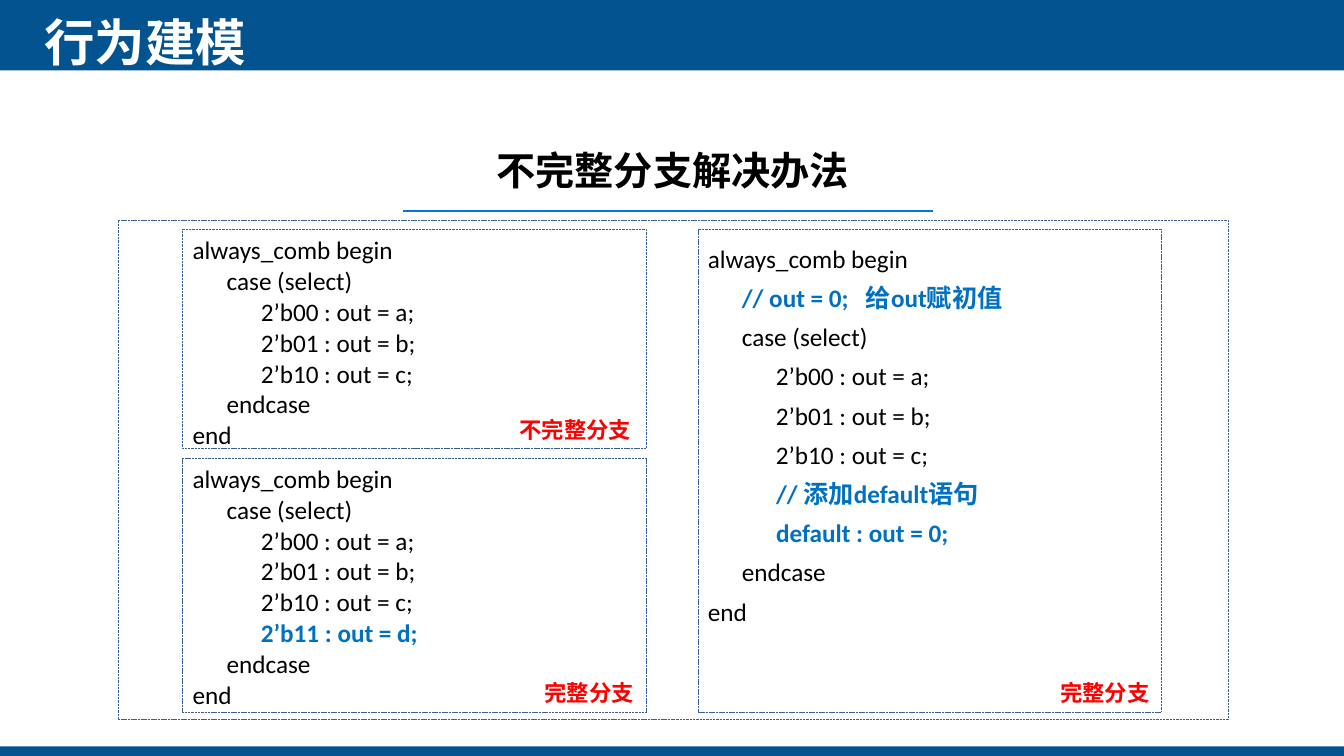
"""Build the slide on fixing incomplete branches in behavioural modelling."""
from dataclasses import dataclass
from typing import Any, NamedTuple

from lxml.etree import SubElement
from pptx import Presentation
from pptx.dml.color import RGBColor
from pptx.enum.dml import MSO_LINE
from pptx.enum.shapes import MSO_CONNECTOR, MSO_SHAPE
from pptx.enum.text import MSO_ANCHOR, MSO_AUTO_SIZE, PP_ALIGN
from pptx.oxml.ns import qn
from pptx.util import Pt


@dataclass(frozen=True)
class Theme:
    bar: str = "035390"
    rule: str = "0075EA"
    outline: str = "3A5F8C"
    text: str = "000000"
    accent: str = "0070C0"
    warning: str = "FF0000"
    white: str = "FFFFFF"
    latin: str = "Calibri"
    chinese: str = "Noto Sans CJK SC"
    title_size: float = 36
    heading_size: float = 28
    code_size: float = 18
    tag_size: float = 16


class Rect(NamedTuple):
    left: float
    top: float
    width: float
    height: float


class CodeLine(NamedTuple):
    level: int
    text: str
    marked: bool = False


class CodePanel(NamedTuple):
    rect: Rect
    line_pitch: float
    lines: list[CodeLine]


class Label(NamedTuple):
    rect: Rect
    text: str
    size: float
    color: str


THEME = Theme()
INDENT = " " * 6
LEFT_COLUMN, RIGHT_COLUMN, PANEL_WIDTH = 130.5, 498.5, 331.2
TAG_TOP, TAG_HEIGHT = 481.7, 26.6

OPENING = [CodeLine(0, "always_comb begin")]
CASES = [CodeLine(1, "case (select)")] + [
    CodeLine(2, f"2’b{index:02b} : out = {name};") for index, name in enumerate("abc")
]
CLOSING = [CodeLine(1, "endcase"), CodeLine(0, "end")]

BARS = [Rect(0, -2.2, 960, 52.6), Rect(0, 533.2, 960, 7.2)]
FRAME = Rect(84.5, 157.2, 792.6, 356.2)
PANELS = [
    CodePanel(
        Rect(LEFT_COLUMN, 327, PANEL_WIDTH, 182), 22,
        OPENING + CASES + [CodeLine(2, "2’b11 : out = d;", True)] + CLOSING,
    ),
    CodePanel(Rect(LEFT_COLUMN, 163.7, PANEL_WIDTH, 156.7), 22, OPENING + CASES + CLOSING),
    CodePanel(
        Rect(RIGHT_COLUMN, 163.7, PANEL_WIDTH, 345), 28,
        OPENING
        + [CodeLine(1, "// out = 0;   给out赋初值", True)]
        + CASES
        + [CodeLine(2, "// 添加default语句", True), CodeLine(2, "default : out = 0;", True)]
        + CLOSING,
    ),
]
LABELS = [
    Label(Rect(268.5, 101, 424, 41.2), "不完整分支解决办法", THEME.heading_size, THEME.text),
    Label(Rect(380, TAG_TOP, 81.5, TAG_HEIGHT), "完整分支", THEME.tag_size, THEME.warning),
    Label(Rect(360.5, 293.6, 101, TAG_HEIGHT), "不完整分支", THEME.tag_size, THEME.warning),
    Label(Rect(748.5, TAG_TOP, 81.5, TAG_HEIGHT), "完整分支", THEME.tag_size, THEME.warning),
]


def apply(target: Any, values: dict[str, Any]) -> None:
    """Set each named attribute on the target."""
    for name, value in values.items():
        setattr(target, name, value)


def points(rect: Rect) -> list[Pt]:
    """Turn a rectangle into lengths."""
    return [Pt(value) for value in rect]


def add_span(
    para: Any, text: str, size: float, color: str, bold: bool = False, latin: str = THEME.latin
) -> None:
    """Append a formatted run to a paragraph."""
    span = para.add_run()
    span.text = text
    apply(span.font, {"size": Pt(size), "bold": bold, "name": latin})
    span.font.color.rgb = RGBColor.from_string(color)
    SubElement(span.font._element, qn("a:ea"), typeface=THEME.chinese)


def add_bar(page: Any, rect: Rect) -> None:
    """Draw a solid bar behind everything else."""
    bar = page.shapes.add_shape(MSO_SHAPE.RECTANGLE, *points(rect))
    bar.shadow.inherit = False
    bar.fill.solid()
    bar.fill.fore_color.rgb = RGBColor.from_string(THEME.bar)
    bar.line.fill.background()
    page.shapes._spTree.insert(2, bar._element)


def add_outline(page: Any, rect: Rect) -> Any:
    """Draw an unfilled box with a fine dashed border."""
    box = page.shapes.add_shape(MSO_SHAPE.RECTANGLE, *points(rect))
    box.shadow.inherit = False
    box.fill.background()
    box.line.color.rgb = RGBColor.from_string(THEME.outline)
    apply(box.line, {"width": Pt(0.25), "dash_style": MSO_LINE.SQUARE_DOT})
    return box


def add_panel(page: Any, panel: CodePanel) -> None:
    """Draw a code listing inside an outlined box."""
    frame = add_outline(page, panel.rect).text_frame
    apply(frame, {"word_wrap": True, "vertical_anchor": MSO_ANCHOR.TOP})
    for number, line in enumerate(panel.lines):
        para = frame.add_paragraph() if number else frame.paragraphs[0]
        apply(para, {"alignment": PP_ALIGN.JUSTIFY, "line_spacing": Pt(panel.line_pitch)})
        if line.level:
            add_span(para, INDENT * line.level, THEME.code_size, THEME.text)
        color = THEME.accent if line.marked else THEME.text
        add_span(para, line.text, THEME.code_size, color, line.marked)


def add_label(page: Any, label: Label) -> None:
    """Place a bold centred caption."""
    frame = page.shapes.add_textbox(*points(label.rect)).text_frame
    apply(frame, {"word_wrap": True, "auto_size": MSO_AUTO_SIZE.SHAPE_TO_FIT_TEXT})
    para = frame.paragraphs[0]
    para.alignment = PP_ALIGN.CENTER
    add_span(para, label.text, label.size, label.color, True)


def add_rule(page: Any) -> None:
    """Draw the line under the heading."""
    ends = [Pt(value) for value in (288, 150.5, 666.5, 150.5)]
    rule = page.shapes.add_connector(MSO_CONNECTOR.STRAIGHT, *ends)
    rule.line.color.rgb = RGBColor.from_string(THEME.rule)
    rule.line.width = Pt(1.5)
    SubElement(rule._element.spPr, qn("a:effectLst"))


def set_title(page: Any, text: str) -> None:
    """Move, fill and format the title placeholder."""
    title = page.shapes.title
    apply(title, dict(zip(Rect._fields, points(Rect(24.5, -20.2, 828, 104.4)))))
    frame = title.text_frame
    apply(frame, {
        "word_wrap": True,
        "auto_size": MSO_AUTO_SIZE.NONE,
        "vertical_anchor": MSO_ANCHOR.MIDDLE,
    })
    para = frame.paragraphs[0]
    apply(para, {"alignment": PP_ALIGN.LEFT, "line_spacing": 0.9})
    add_span(para, text, THEME.title_size, THEME.white, True, THEME.chinese)


def main() -> None:
    """Assemble and save the deck."""
    deck = Presentation()
    apply(deck, {"slide_width": Pt(960), "slide_height": Pt(540)})
    page = deck.slides.add_slide(deck.slide_layouts[5])
    set_title(page, "行为建模")
    for rect in BARS:
        add_bar(page, rect)
    add_rule(page)
    add_outline(page, FRAME)
    for panel in PANELS:
        add_panel(page, panel)
    for label in LABELS:
        add_label(page, label)
    deck.save("out.pptx")


if __name__ == "__main__":
    main()
